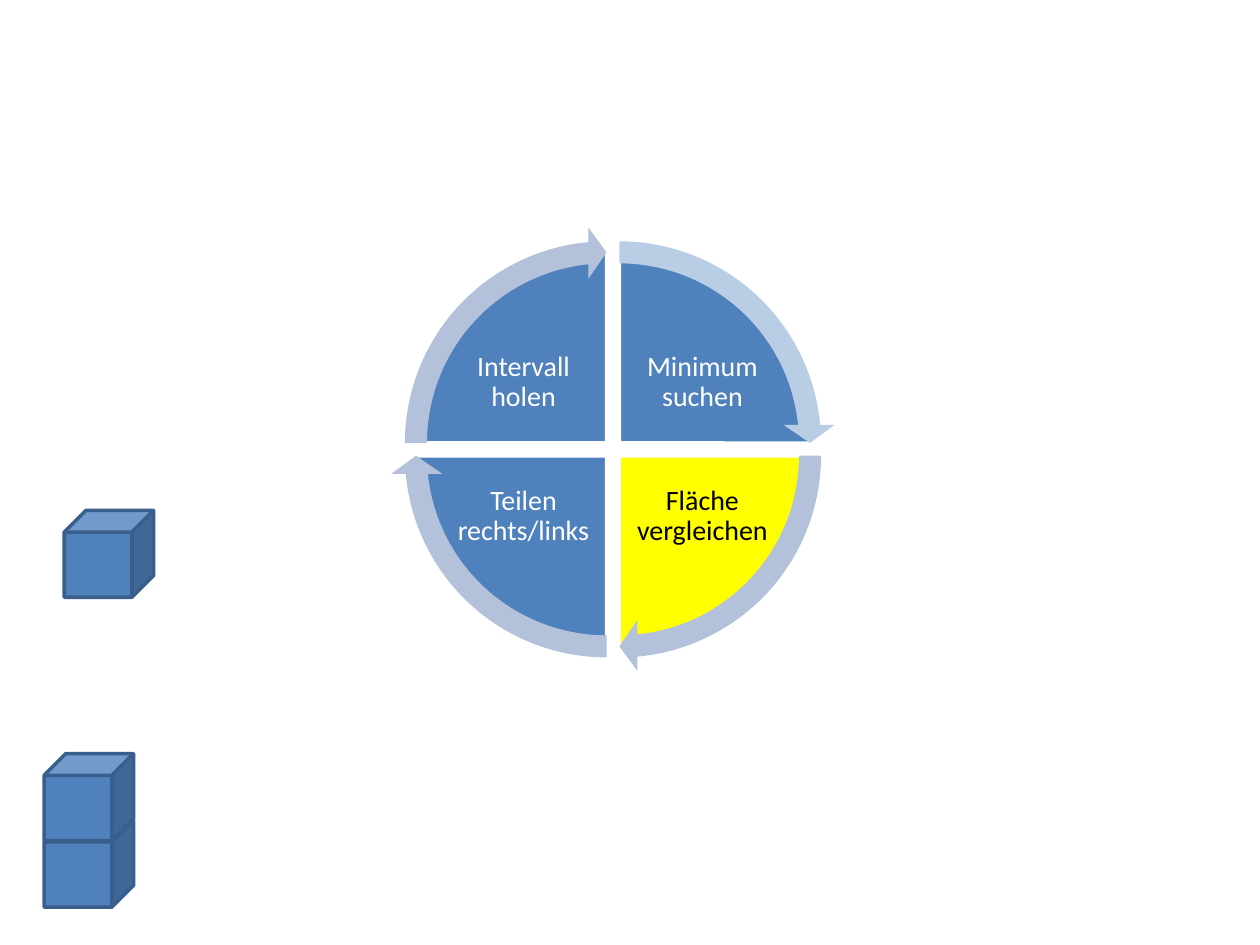
from typing import NamedTuple

from pptx import Presentation
from pptx.dml.color import RGBColor
from pptx.enum.shapes import MSO_SHAPE
from pptx.enum.text import MSO_ANCHOR, PP_ALIGN
from pptx.util import Pt

CUBE, PIE, ARROW = MSO_SHAPE.CUBE, MSO_SHAPE.PIE, MSO_SHAPE.CIRCULAR_ARROW
MIDDLE, CENTER = MSO_ANCHOR.MIDDLE, PP_ALIGN.CENTER

BLUE = RGBColor(0x4F, 0x81, 0xBD)
DARK_BLUE = RGBColor(0x3A, 0x5F, 0x8C)
PALE_BLUE = RGBColor(0xB9, 0xCD, 0xE5)
GREY_BLUE = RGBColor(0xB3, 0xC1, 0xDB)
YELLOW = RGBColor(0xFF, 0xFF, 0x00)
WHITE = RGBColor(0xFF, 0xFF, 0xFF)
BLACK = RGBColor(0x00, 0x00, 0x00)

CENTER_X, CENTER_Y = 350.3, 256.8
HALF_GAP = 3.65
PIE_SIZE, ARROW_SIZE = 219.6, 247
LABEL_WIDTH, LABEL_HEIGHT = 81.4, 60.5
LABEL_DX, LABEL_DY = 51.1, 38.2
CUBE_WIDTH, CUBE_HEIGHT = 51.1, 49.7

# Adjustments hold angles in units of 5/3 degree
QUARTER_TURN, FULL_TURN = 54, 216
ARROWHEAD_ANGLE = 3.275
ARROW_THICKNESS, ARROWHEAD_WIDTH = 0.051, 0.059


class Step(NamedTuple):
    label: str
    side_x: int
    side_y: int
    start: float
    fill: RGBColor = BLUE
    text_color: RGBColor = WHITE
    arrow_fill: RGBColor = GREY_BLUE


STEPS = [
    Step("Minimum suchen", 1, -1, 162, arrow_fill=PALE_BLUE),
    Step("Fläche vergleichen", 1, 1, 0, fill=YELLOW, text_color=BLACK),
    Step("Teilen rechts/links", -1, 1, 54),
    Step("Intervall holen", -1, -1, 108),
]

CUBE_POSITIONS = [(36.7, 291.6), (25.2, 468.7), (25.2, 430.6)]


def add_filled_shape(slide, kind, left: float, top: float, width: float, height: float,
                     fill: RGBColor, line: RGBColor | None = None,
                     adjustments: tuple[float, ...] = ()) -> None:
    shape = slide.shapes.add_shape(kind, Pt(left), Pt(top), Pt(width), Pt(height))
    shape.shadow.inherit = False
    for index, value in enumerate(adjustments):
        shape.adjustments[index] = value
    shape.fill.solid()
    shape.fill.fore_color.rgb = fill
    if line is None:
        shape.line.fill.background()
    else:
        shape.line.color.rgb = line
        shape.line.width = Pt(2)


def add_label(slide, text: str, *, left: float, top: float, width: float, height: float,
              color: RGBColor, size: float = 16, font: str = "Calibri") -> None:
    box = slide.shapes.add_textbox(Pt(left), Pt(top), Pt(width), Pt(height))
    frame = box.text_frame
    frame.word_wrap = True
    frame.vertical_anchor = MIDDLE
    frame.margin_left = frame.margin_right = Pt(1.6)
    frame.margin_top = frame.margin_bottom = Pt(1.6)
    paragraph = frame.paragraphs[0]
    paragraph.alignment = CENTER
    paragraph.line_spacing = 0.9
    paragraph.space_after = Pt(5.6)
    run = paragraph.add_run()
    run.text = text
    run.font.name = font
    run.font.size = Pt(size)
    run.font.color.rgb = color


def add_step_sector(slide, step: Step) -> None:
    end = (step.start + QUARTER_TURN) % FULL_TURN
    add_filled_shape(slide, PIE,
                     CENTER_X + step.side_x * HALF_GAP - PIE_SIZE / 2,
                     CENTER_Y + step.side_y * HALF_GAP - PIE_SIZE / 2,
                     PIE_SIZE, PIE_SIZE, step.fill, WHITE, (step.start, end))
    add_label(slide, step.label,
              left=CENTER_X + step.side_x * LABEL_DX - LABEL_WIDTH / 2,
              top=CENTER_Y + step.side_y * LABEL_DY - LABEL_HEIGHT / 2,
              width=LABEL_WIDTH, height=LABEL_HEIGHT, color=step.text_color)


def add_step_arrow(slide, step: Step) -> None:
    tip = step.start + QUARTER_TURN - ARROWHEAD_ANGLE
    add_filled_shape(slide, ARROW,
                     CENTER_X + step.side_x * HALF_GAP - ARROW_SIZE / 2,
                     CENTER_Y + step.side_y * HALF_GAP - ARROW_SIZE / 2,
                     ARROW_SIZE, ARROW_SIZE, step.arrow_fill,
                     adjustments=(ARROW_THICKNESS, ARROWHEAD_ANGLE, tip,
                                  step.start, ARROWHEAD_WIDTH))


def main() -> None:
    presentation = Presentation()
    presentation.slide_width, presentation.slide_height = Pt(720), Pt(540)
    slide = presentation.slides.add_slide(presentation.slide_layouts[6])
    for left, top in CUBE_POSITIONS:
        add_filled_shape(slide, CUBE, left, top, CUBE_WIDTH, CUBE_HEIGHT, BLUE, DARK_BLUE)
    for step in STEPS:
        add_step_sector(slide, step)
    for step in STEPS:
        add_step_arrow(slide, step)
    presentation.save("out.pptx")


if __name__ == "__main__":
    main()
